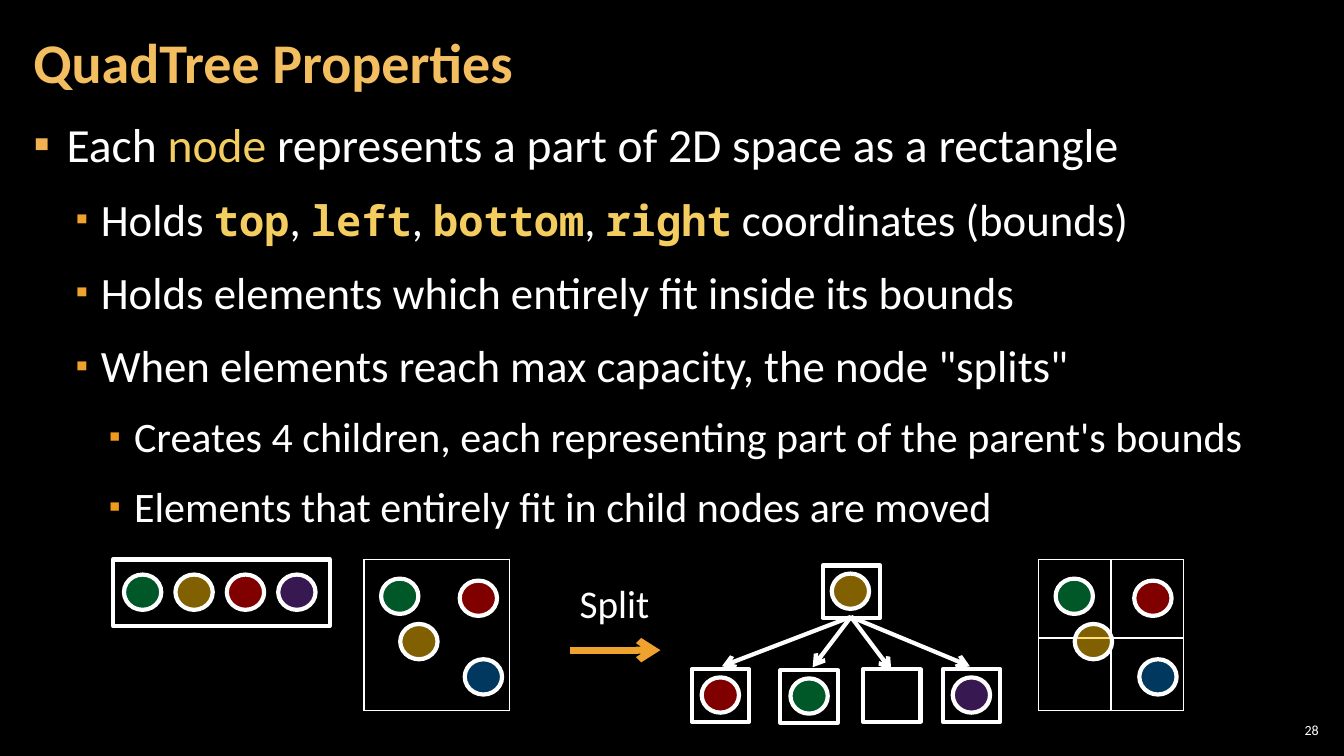
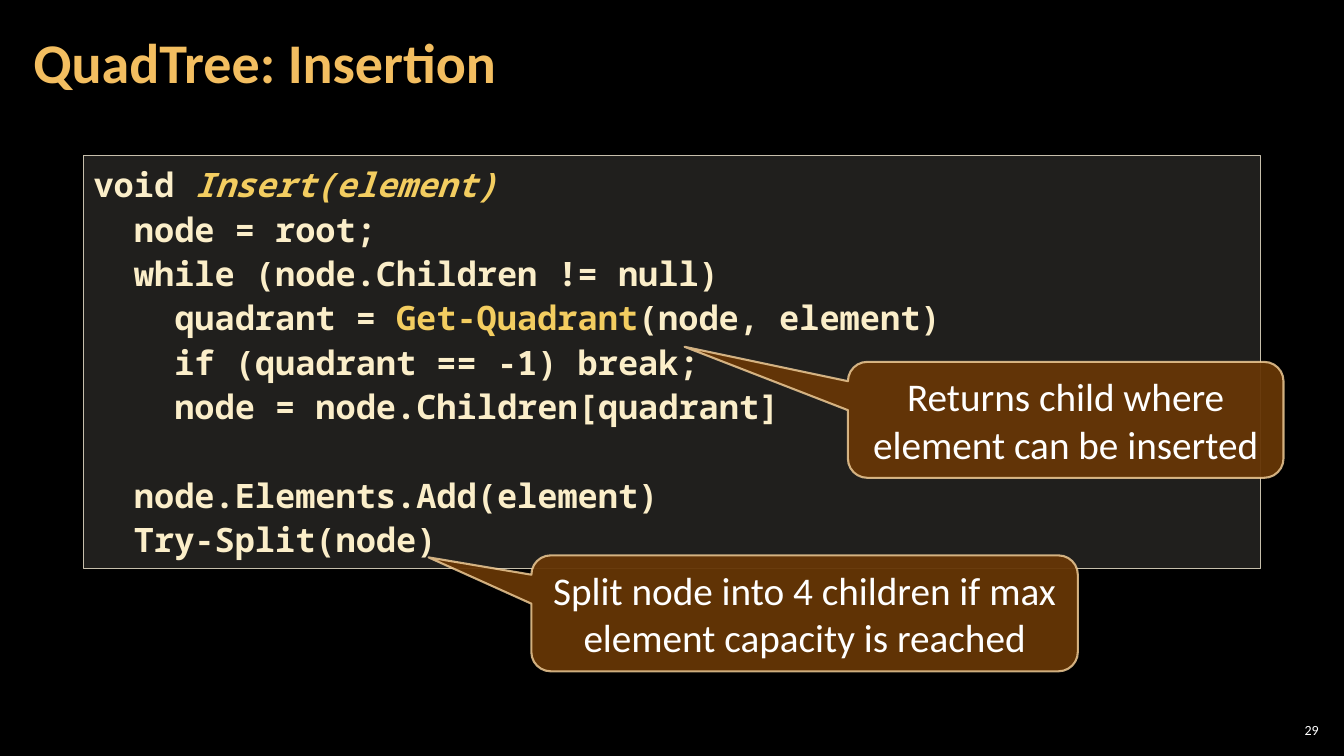
import dataclasses

import lxml.etree
import pptx
import pptx.dml.color
import pptx.enum.shapes
import pptx.enum.text
import pptx.oxml.ns
import pptx.util


@dataclasses.dataclass(frozen=True)
class TextStyle:
    size: int
    color: str = "FFFFFF"
    font: str = "Calibri"
    bold: bool = False
    italic: bool = False

    def but(self, **changes):
        return dataclasses.replace(self, **changes)


@dataclasses.dataclass(frozen=True)
class Theme:
    background = "000000"
    white = "FFFFFF"
    highlight = "F3CD60"
    arrow = "F0A22E"
    code_fill = "D9D5C7"
    code_line = "C7BFAC"
    callout_fill = "663606"
    callout_line = "F8D49E"
    green, gold, red = "00B050", "FFC000", "FF0000"
    purple, blue = "7030A0", "0070C0"
    title = TextStyle(40, "F3BE60", bold=True)
    number = TextStyle(10)
    label = TextStyle(28)
    levels = (TextStyle(34), TextStyle(32), TextStyle(30))
    bullets = (("F2B254", 100, 0.33, 0.33), ("F0A22E", 80, 0.67, 0.25), ("EF9A1D", 80, 1, 0.25))
    mono = TextStyle(30, highlight, "Noto Sans Mono", True)
    code = TextStyle(24, "FBEEC9", "Noto Sans Mono", True)


def rgb(color):
    return pptx.dml.color.RGBColor.from_string(color)


def box(*lengths):
    return [pptx.util.Inches(n) for n in lengths]


def add_xml(parent, tag, **attributes):
    return lxml.etree.SubElement(parent, pptx.oxml.ns.qn(tag), {k: str(v) for k, v in attributes.items()})


def set_alpha(parent, percent):
    color = parent.find(pptx.oxml.ns.qn("a:solidFill"))[0]
    add_xml(color, "a:alpha", val=percent * 1000)


class Deck:
    shapes = pptx.enum.shapes.MSO_SHAPE
    align = pptx.enum.text.PP_ALIGN
    anchor = pptx.enum.text.MSO_ANCHOR

    def __init__(self, theme, first_number):
        self.theme = theme
        self.number = first_number
        self.prs = pptx.Presentation()
        self.prs.slide_width, self.prs.slide_height = box(13.33, 7.5)
        fill = self.prs.slide_master.background.fill
        fill.solid()
        fill.fore_color.rgb = rgb(theme.background)

    def add_slide(self, title, layout):
        self.s = self.prs.slides.add_slide(self.prs.slide_layouts[layout])
        tf = self.place(self.s.shapes.title, 0.21, 0.04, 10.47, 1.21)
        tf.vertical_anchor = self.anchor.MIDDLE
        p = tf.paragraphs[0]
        p.alignment = self.align.LEFT
        p.line_spacing = 0.9
        self.add_runs(p, [(title, self.theme.title)])
        tf = self.text(12.65, 7.14, 0.47, 0.21, str(self.number), self.theme.number, self.align.RIGHT)
        tf.vertical_anchor = self.anchor.MIDDLE
        self.inset(tf, 0.04)
        self.number += 1

    def inset(self, tf, side):
        tf.margin_left = tf.margin_right = pptx.util.Inches(side)
        tf.margin_top = tf.margin_bottom = pptx.util.Inches(0.04)

    def place(self, sp, *bounds):
        sp.left, sp.top, sp.width, sp.height = box(*bounds)
        tf = sp.text_frame
        tf.word_wrap = True
        tf.auto_size = pptx.enum.text.MSO_AUTO_SIZE.NONE
        self.inset(tf, 0.12)
        return tf

    def add_runs(self, p, runs):
        for text, style in runs:
            r = p.add_run()
            r.text = text
            r.font.name = style.font
            r.font.size = pptx.util.Pt(style.size)
            r.font.bold = style.bold
            r.font.italic = style.italic
            r.font.color.rgb = rgb(style.color)

    def paragraphs(self, tf, count):
        return [tf.paragraphs[0]] + [tf.add_paragraph() for _ in range(count - 1)]

    def text(self, x, y, w, h, text, style, alignment=None):
        tf = self.s.shapes.add_textbox(*box(x, y, w, h)).text_frame
        tf.word_wrap = True
        p = tf.paragraphs[0]
        p.alignment = alignment
        self.add_runs(p, [(text, style)])
        return tf

    def bullet_list(self, items):
        tf = self.place(self.s.placeholders[1], 0.21, 1.07, 12.91, 6.09)
        for i, (p, (level, runs)) in enumerate(zip(self.paragraphs(tf, len(items)), items)):
            color, size, left, hanging = self.theme.bullets[level]
            p.level = level
            pPr = p._p.get_or_add_pPr()
            pPr.set("marL", str(pptx.util.Inches(left)))
            pPr.set("indent", str(-pptx.util.Inches(hanging)))
            add_xml(add_xml(pPr, "a:buClr"), "a:srgbClr", val=color)
            add_xml(pPr, "a:buSzPct", val=size * 1000)
            add_xml(pPr, "a:buChar", char="▪")
            p.line_spacing = 1.05
            p.space_before = pptx.util.Pt(6 if i else 0)
            p.space_after = pptx.util.Pt(6)
            base = self.theme.levels[level]
            self.add_runs(p, [(r, base) if isinstance(r, str) else r for r in runs])

    def shape(self, kind, x, y, w, h, line, width, fill=None, alpha=100):
        sp = self.s.shapes.add_shape(kind, *box(x, y, w, h))
        sp.shadow.inherit = False
        sp.line.color.rgb = rgb(line)
        sp.line.width = pptx.util.Pt(width)
        if fill:
            sp.fill.solid()
            sp.fill.fore_color.rgb = rgb(fill)
            set_alpha(sp._element.spPr, alpha)
        else:
            sp.fill.background()
        return sp

    def node(self, x, y, w=0.57, h=0.52):
        self.shape(self.shapes.RECTANGLE, x, y, w, h, self.theme.white, 3)

    def ball(self, x, y, color):
        self.shape(self.shapes.OVAL, x, y, 0.37, 0.35, self.theme.white, 3, color, 50)

    def arrow(self, start, end, color, width):
        line = self.s.shapes.add_connector(pptx.enum.shapes.MSO_CONNECTOR.STRAIGHT, *box(*start, *end))
        line.line.color.rgb = rgb(color)
        line.line.width = pptx.util.Pt(width)
        spPr = line._element.spPr
        add_xml(spPr.find(pptx.oxml.ns.qn("a:ln")), "a:tailEnd", type="arrow")
        add_xml(spPr, "a:effectLst")

    def grid(self, x, y, widths, heights):
        frame = self.s.shapes.add_table(len(heights), len(widths), *box(x, y, sum(widths), sum(heights)))
        table = frame.table
        table.first_row = table.horz_banding = False
        for column, w in zip(table.columns, widths):
            column.width = pptx.util.Inches(w)
        for row, h in zip(table.rows, heights):
            row.height = pptx.util.Inches(h)
        for cell in table.iter_cells():
            tcPr = cell._tc.get_or_add_tcPr()
            for side in "LRTB":
                ln = add_xml(tcPr, "a:ln" + side, w=pptx.util.Pt(1))
                add_xml(add_xml(ln, "a:solidFill"), "a:srgbClr", val=self.theme.white)
            cell.fill.background()

    def space(self, x, y, widths, heights):
        t = self.theme
        self.grid(x, y, widths, heights)
        for dx, dy, color in ((0.17, 0.19, t.green), (0.36, 0.64, t.gold),
                              (1, 0.99, t.blue), (0.95, 0.21, t.red)):
            self.ball(x + dx, y + dy, color)

    def code(self, x, y, w, h, lines):
        t = self.theme
        sp = self.shape(self.shapes.RECTANGLE, x, y, w, h, t.code_line, 1, t.code_fill, 15)
        tf = sp.text_frame
        tf.word_wrap = True
        tf.vertical_anchor = self.anchor.TOP
        for p, runs in zip(self.paragraphs(tf, len(lines)), lines):
            p.alignment = self.align.LEFT
            p.line_spacing = 1.1
            self.add_runs(p, [(r, t.code) if isinstance(r, str) else r for r in runs])

    def callout(self, x, y, w, h, tip, text):
        t = self.theme
        sp = self.shape(self.shapes.ROUNDED_RECTANGULAR_CALLOUT, x, y, w, h,
                        t.callout_line, 1.5, t.callout_fill, 95)
        set_alpha(sp._element.spPr.find(pptx.oxml.ns.qn("a:ln")), 80)
        sp.adjustments[0] = (tip[0] - x) / w - 0.5
        sp.adjustments[1] = (tip[1] - y) / h - 0.5
        tf = sp.text_frame
        tf.word_wrap = True
        tf.vertical_anchor = self.anchor.MIDDLE
        p = tf.paragraphs[0]
        p.alignment = self.align.CENTER
        self.add_runs(p, [(text, t.label)])


def properties_slide(deck):
    t = deck.theme
    deck.add_slide("QuadTree Properties", 1)
    deck.bullet_list([
        (0, ["Each ", ("node", t.levels[0].but(color=t.highlight)),
             " represents a part of 2D space as a rectangle"]),
        (1, ["Holds ", ("top", t.mono), ", ", ("left", t.mono), ", ", ("bottom", t.mono), ", ",
             ("right", t.mono), " coordinates (bounds)"]),
        (1, ["Holds elements which entirely fit inside its bounds"]),
        (1, ['When elements reach max capacity, the node "splits"']),
        (2, ["Creates 4 children, each representing part of the parent's bounds"]),
        (2, ["Elements that entirely fit in child nodes are moved"]),
    ])
    deck.node(1.12, 5.55, 2.15, 0.66)
    for i, color in enumerate((t.green, t.gold, t.red, t.purple)):
        deck.ball(1.23 + 0.51 * i, 5.7, color)
    deck.space(3.61, 5.55, [1.44], [1.5])

    deck.text(5.65, 5.7, 1.27, 0.57, "Split", t.label)
    deck.arrow((5.65, 6.45), (6.55, 6.45), t.arrow, 5)

    deck.node(8.16, 5.61)
    deck.ball(8.25, 5.69, t.gold)
    children = (
        (6.86, 6.64, t.red, (7.16, 6.61)),
        (7.74, 6.65, t.green, (8.06, 6.62)),
        (8.56, 6.64, None, (8.84, 6.65)),
        (9.35, 6.64, t.purple, (9.62, 6.61)),
    )
    for x, y, color, tip in children:
        deck.node(x, y)
        if color:
            deck.ball(x + 0.1, y + 0.08, color)
        deck.arrow((8.44, 6.12), tip, t.white, 3)
    deck.space(10.3, 5.55, [0.72, 0.72], [0.78, 0.72])


def insertion_slide(deck):
    t = deck.theme
    call = t.code.but(color=t.highlight)
    deck.add_slide("QuadTree: Insertion", 5)
    deck.code(0.83, 1.54, 11.67, 4.1, [
        ["void ", ("Insert(element)", call.but(italic=True))],
        ["  node = root;"],
        ["  while (node.Children != null)"],
        ["    quadrant = ", ("Get-Quadrant", call), "(node, element)"],
        ["    if (quadrant == -1) break;"],
        ["    node = node.Children[quadrant]"],
        ["  "],
        ["  node.Elements.Add(element)"],
        ["  Try-Split(node)"],
    ])
    deck.callout(8.41, 3.59, 4.32, 1.15, (6.79, 3.44), "Returns child where element can be inserted")
    deck.callout(5.27, 5.51, 5.42, 1.15, (4.25, 5.53),
                 "Split node into 4 children if max element capacity is reached")


def main():
    deck = Deck(Theme(), 28)
    properties_slide(deck)
    insertion_slide(deck)
    deck.prs.save("out.pptx")


if __name__ == "__main__":
    main()
